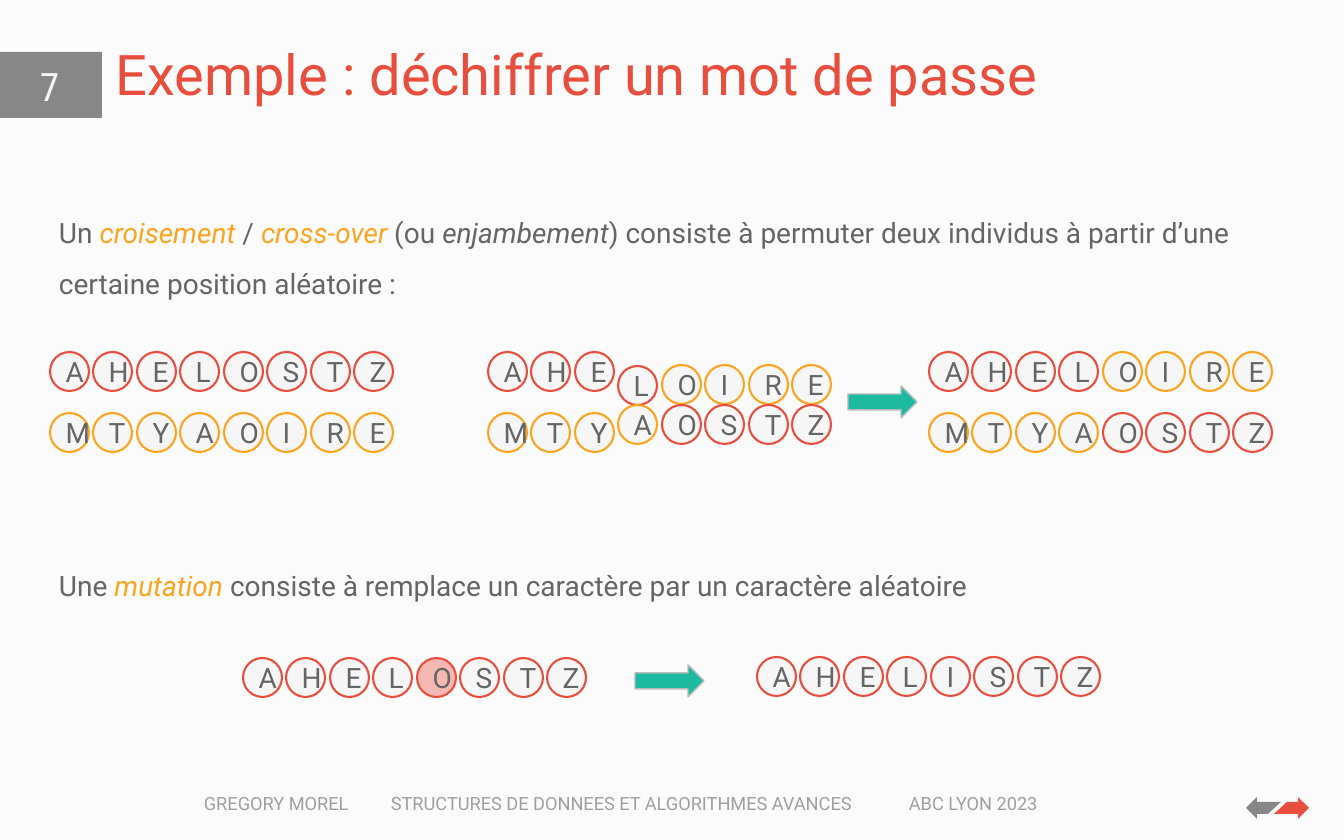
from dataclasses import dataclass

from lxml import etree
from pptx import Presentation
from pptx import util as u
from pptx.dml.color import RGBColor
from pptx.enum import shapes, text
from pptx.oxml import ns

PX = 914400 / 100.8
GENE_SIZE = 39
WORD_SPAN = 304
WORD_STEPS = 7
FONT = "Roboto"

RED = RGBColor(0xE7, 0x4E, 0x3E)
ORANGE = RGBColor(0xFB, 0xA4, 0x1F)
GREEN = RGBColor(0x1C, 0xBB, 0x9F)
PINK = RGBColor(0xF5, 0xB8, 0xB2)
GREY = RGBColor(0x87, 0x87, 0x87)
SILVER = RGBColor(0xBA, 0xBA, 0xBA)
INK = RGBColor(0x65, 0x65, 0x65)
PALE = RGBColor(0xF6, 0xF6, 0xF6)
PAPER = RGBColor(0xFB, 0xFB, 0xFB)


@dataclass(frozen=True)
class Box:
    left: int
    top: int
    width: int
    height: int

    def emu(self) -> list[u.Emu]:
        return [px(n) for n in (self.left, self.top, self.width, self.height)]


@dataclass(frozen=True)
class Strand:
    left: int
    top: int
    letters: str
    line: RGBColor
    first: int = 0
    mutated: int = -1


@dataclass(frozen=True)
class Span:
    words: str
    color: RGBColor = INK
    italic: bool = False


STRANDS = [
    Strand(50, 352, "AHELOSTZ", RED),
    Strand(50, 413, "MTYAOIRE", ORANGE),
    Strand(488, 352, "AHE", RED),
    Strand(488, 366, "L", RED, first=3),
    Strand(488, 365, "OIRE", ORANGE, first=4),
    Strand(488, 413, "MTY", ORANGE),
    Strand(488, 405, "A", ORANGE, first=3),
    Strand(488, 405, "OSTZ", RED, first=4),
    Strand(929, 352, "AHEL", RED),
    Strand(929, 352, "OIRE", ORANGE, first=4),
    Strand(929, 413, "MTYA", ORANGE),
    Strand(929, 413, "OSTZ", RED, first=4),
    Strand(243, 658, "AHELOSTZ", RED, mutated=4),
    Strand(757, 657, "AHELISTZ", RED),
]
ARROWS = [Box(848, 386, 69, 32), Box(635, 665, 69, 32)]
CROSSOVER = [
    Span("Un "),
    Span("croisement", ORANGE, True),
    Span(" / "),
    Span("cross-over", ORANGE, True),
    Span(" (ou "),
    Span("enjambement", italic=True),
    Span(") consiste à permuter deux individus à partir d’une certaine position aléatoire :"),
]
MUTATION = [
    Span("Une "),
    Span("mutation", ORANGE, True),
    Span(" consiste à remplace un caractère par un caractère aléatoire"),
]
NEXT_ARROW = [(1298, 802), (1298, 797), (1309, 808), (1298, 819), (1298, 814), (1274, 814), (1287, 802)]
PREVIOUS_ARROW = [(2555 - x, 1616 - y) for x, y in NEXT_ARROW]


def px(n: int) -> u.Emu:
    return u.Emu(round(n * PX))


def style(p, size: int, color: RGBColor | None = None, name: str = FONT) -> None:
    p.font.size = u.Pt(size)
    p.font.name = name
    if color is not None:
        p.font.color.rgb = color


def paint(sp, fill: RGBColor, line: RGBColor | None = None, width: float = 1) -> None:
    sp.shadow.inherit = False
    sp.fill.solid()
    sp.fill.fore_color.rgb = fill
    if line is None:
        sp.line.fill.background()
    else:
        sp.line.color.rgb = line
        sp.line.width = u.Pt(width)


def add_preset(slide, kind: shapes.MSO_SHAPE, box: Box, fill: RGBColor, line: RGBColor | None = None, width: float = 1):
    sp = slide.shapes.add_shape(kind, *box.emu())
    paint(sp, fill, line, width)
    return sp


def add_text(slide, box: Box, words: str = ""):
    tf = slide.shapes.add_textbox(*box.emu()).text_frame
    tf.word_wrap = True
    tf.paragraphs[0].text = words
    return tf


def add_strand(slide, strand: Strand) -> None:
    for slot, letter in enumerate(strand.letters, strand.first):
        left = strand.left + round(slot * WORD_SPAN / WORD_STEPS)
        fill = PINK if slot == strand.mutated else PALE
        box = Box(left, strand.top, GENE_SIZE, GENE_SIZE)
        sp = add_preset(slide, shapes.MSO_SHAPE.OVAL, box, fill, strand.line, 1.5)
        tf = sp.text_frame
        tf.vertical_anchor = text.MSO_ANCHOR.MIDDLE
        p = tf.paragraphs[0]
        p.text = letter
        p.alignment = text.PP_ALIGN.CENTER
        style(p, 20, INK)


def add_outline(slide, points: list[tuple[int, int]], fill: RGBColor) -> None:
    builder = slide.shapes.build_freeform(*points[0], scale=PX)
    builder.add_line_segments(points[1:], close=True)
    paint(builder.convert_to_shape(), fill)


def fill_paragraph(p, spans: list[Span]) -> None:
    p.line_spacing = 1.5
    p._p.get_or_add_pPr().set("marL", str(px(20)))
    style(p, 20)
    for span in spans:
        r = p.add_run()
        r.text = span.words
        r.font.color.rgb = span.color
        r.font.italic = span.italic


def add_footer(slide) -> None:
    words = "GREGORY MOREL\tSTRUCTURES DE DONNEES ET ALGORITHMES AVANCES\tABC LYON 2023"
    p = add_text(slide, Box(194, 787, 864, 32), words).paragraphs[0]
    stops = etree.SubElement(p._p.get_or_add_pPr(), ns.qn("a:tabLst"))
    for stop in (187, 705):
        etree.SubElement(stops, ns.qn("a:tab"), pos=str(px(stop)), algn="l")
    style(p, 13, GREY)
    color = p._p.xpath(".//a:srgbClr")[0]
    etree.SubElement(color, ns.qn("a:alpha"), val="79000")


def add_header(slide) -> None:
    add_preset(slide, shapes.MSO_SHAPE.RECTANGLE, Box(-1, 52, 103, 66), GREY)
    title = add_text(slide, Box(106, 13, 1008, 100), "Exemple : déchiffrer un mot de passe")
    title.vertical_anchor = text.MSO_ANCHOR.BOTTOM
    p = title.paragraphs[0]
    p.line_spacing = 0.9
    style(p, 40, RED)
    p = add_text(slide, Box(9, 57, 81, 51), "7").paragraphs[0]
    p.alignment = text.PP_ALIGN.CENTER
    style(p, 28, PALE, "Roboto Condensed")


def main() -> None:
    """Build the slide on crossover and mutation of passwords."""
    prs = Presentation()
    prs.slide_width, prs.slide_height = px(1344), px(840)
    slide = prs.slides.add_slide(prs.slide_layouts[6])
    slide.background.fill.solid()
    slide.background.fill.fore_color.rgb = PAPER

    add_header(slide)
    add_outline(slide, NEXT_ARROW, RED)
    add_outline(slide, PREVIOUS_ARROW, GREY)
    add_footer(slide)

    tf = add_text(slide, Box(29, 194, 1267, 417))
    fill_paragraph(tf.paragraphs[0], CROSSOVER)
    p = tf.add_paragraph()
    p.space_before = u.Pt(180)
    fill_paragraph(p, MUTATION)

    for strand in STRANDS:
        add_strand(slide, strand)
    for arrow in ARROWS:
        add_preset(slide, shapes.MSO_SHAPE.RIGHT_ARROW, arrow, GREEN, SILVER)
    prs.save("out.pptx")


if __name__ == "__main__":
    main()
